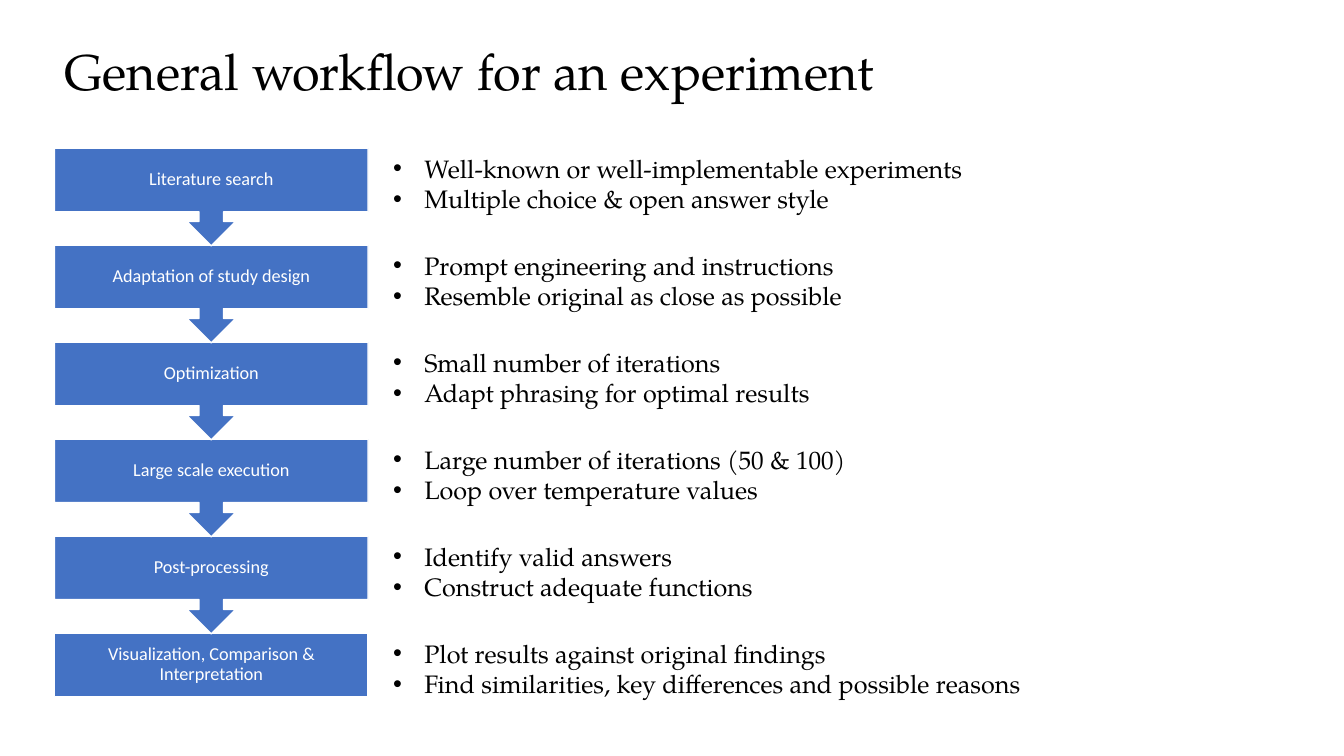
from dataclasses import dataclass

import pptx
import pptx.dml.color
import pptx.enum.shapes
import pptx.enum.text
import pptx.oxml
import pptx.oxml.ns
import pptx.presentation
import pptx.shapes.autoshape
import pptx.slide
import pptx.text.text
import pptx.util
from pptx.util import Inches

COLORS = {"step": "4472C4", "light": "FFFFFF", "dark": "000000"}
SERIF, SANS = "TeX Gyre Pagella", "Calibri"

SLIDE_WIDTH, SLIDE_HEIGHT = 13.33, 7.5

# One grid row per step; the title fills everything above the first row.
LEFT, TOP = 0.54, 1.47
ROW_PITCH = 0.962
CALLOUT_HEIGHT = 0.97
STEP_WIDTH, STEP_HEIGHT = 3.11, 0.63
DETAIL_LEFT, DETAIL_WIDTH, DETAIL_HEIGHT = 3.8, 9.37, 0.71
BULLET_INDENT = 0.31


@dataclass(frozen=True)
class Step:
    name: str
    details: tuple[str, ...]


@dataclass(frozen=True)
class Box:
    left: float
    top: float
    width: float
    height: float

    def emu(self) -> tuple[int, ...]:
        return tuple(Inches(length) for length in
                     (self.left, self.top, self.width, self.height))


STEPS = (
    Step("Literature search",
         ("Well-known or well-implementable experiments",
          "Multiple choice & open answer style")),
    Step("Adaptation of study design",
         ("Prompt engineering and instructions",
          "Resemble original as close as possible")),
    Step("Optimization",
         ("Small number of iterations",
          "Adapt phrasing for optimal results")),
    Step("Large scale execution",
         ("Large number of iterations (50 & 100)",
          "Loop over temperature values")),
    Step("Post-processing",
         ("Identify valid answers",
          "Construct adequate functions")),
    Step("Visualization, Comparison & Interpretation",
         ("Plot results against original findings",
          "Find similarities, key differences and possible reasons")),
)


def color(name: str) -> pptx.dml.color.RGBColor:
    return pptx.dml.color.RGBColor.from_string(COLORS[name])


def row_top(row: int) -> float:
    return TOP + row * ROW_PITCH


def add_text(slide: pptx.slide.Slide, box: Box, text: str, size: float,
             font_name: str, color_name: str) -> pptx.text.text.TextFrame:
    """Add a wrapping text box with one paragraph per line of text."""
    text_frame = slide.shapes.add_textbox(*box.emu()).text_frame
    text_frame.word_wrap = True
    text_frame.text = text
    for paragraph in text_frame.paragraphs:
        for run in paragraph.runs:
            run.font.size = pptx.util.Pt(size)
            run.font.name = font_name
            run.font.color.rgb = color(color_name)
    return text_frame


def add_title(slide: pptx.slide.Slide, text: str) -> None:
    box = Box(LEFT, 0, SLIDE_WIDTH - LEFT, TOP)
    text_frame = add_text(slide, box, text, 36, SERIF, "dark")
    text_frame.vertical_anchor = pptx.enum.text.MSO_ANCHOR.MIDDLE
    text_frame.paragraphs[0].line_spacing = 0.9


def add_step(slide: pptx.slide.Slide, row: int, step: Step) -> None:
    """Draw a step; all but the last point down to the next one."""
    kinds = pptx.enum.shapes.MSO_SHAPE
    is_last = row == len(STEPS) - 1
    kind = kinds.RECTANGLE if is_last else kinds.UP_ARROW_CALLOUT
    height = STEP_HEIGHT if is_last else CALLOUT_HEIGHT
    shape = slide.shapes.add_shape(
        kind, *Box(LEFT, row_top(row), STEP_WIDTH, height).emu())
    shape.rotation = 0 if is_last else 180
    shape.shadow.inherit = False
    shape.fill.solid()
    shape.fill.fore_color.rgb = color("step")
    shape.line.color.rgb = color("light")
    shape.line.width = pptx.util.Pt(1)

    label_box = Box(LEFT, row_top(row), STEP_WIDTH, STEP_HEIGHT)
    label = add_text(slide, label_box, step.name, 13, SANS, "light")
    label.vertical_anchor = pptx.enum.text.MSO_ANCHOR.MIDDLE
    label.margin_top = label.margin_bottom = Inches(0.1)
    paragraph = label.paragraphs[0]
    paragraph.alignment = pptx.enum.text.PP_ALIGN.CENTER
    paragraph.line_spacing = 0.9
    paragraph.space_after = pptx.util.Pt(4.5)


def add_bullet(paragraph: pptx.text.text._Paragraph) -> None:
    properties = paragraph._p.get_or_add_pPr()
    properties.set("marL", str(Inches(BULLET_INDENT)))
    properties.set("indent", str(-Inches(BULLET_INDENT)))
    for tag, attribute, value in (("a:buFont", "typeface", "Arial"),
                                  ("a:buChar", "char", "•")):
        element = pptx.oxml.parse_xml(
            f'<{tag} {pptx.oxml.ns.nsdecls("a")} {attribute}="{value}"/>')
        properties.append(element)


def add_details(slide: pptx.slide.Slide, row: int, step: Step) -> None:
    box = Box(DETAIL_LEFT, row_top(row), DETAIL_WIDTH, DETAIL_HEIGHT)
    text_frame = add_text(slide, box, "\n".join(step.details), 18, SERIF, "dark")
    text_frame.auto_size = pptx.enum.text.MSO_AUTO_SIZE.SHAPE_TO_FIT_TEXT
    for paragraph in text_frame.paragraphs:
        add_bullet(paragraph)


def main() -> None:
    presentation = pptx.Presentation()
    presentation.slide_width = Inches(SLIDE_WIDTH)
    presentation.slide_height = Inches(SLIDE_HEIGHT)
    slide = presentation.slides.add_slide(presentation.slide_layouts[6])

    add_title(slide, "General workflow for an experiment")
    # From the bottom up, so each arrow tip lies over the step below it.
    for row, step in reversed(list(enumerate(STEPS))):
        add_step(slide, row, step)
    for row, step in enumerate(STEPS):
        add_details(slide, row, step)

    presentation.save("out.pptx")


if __name__ == "__main__":
    main()
